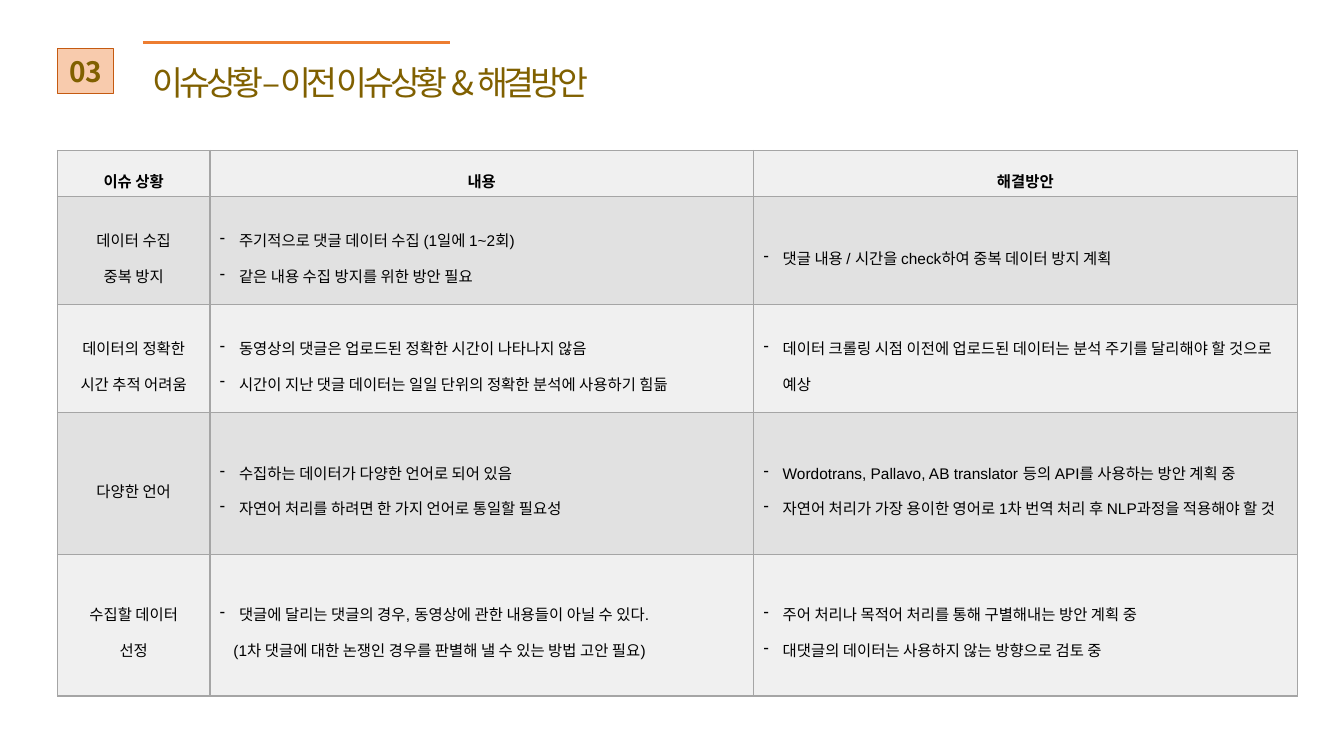
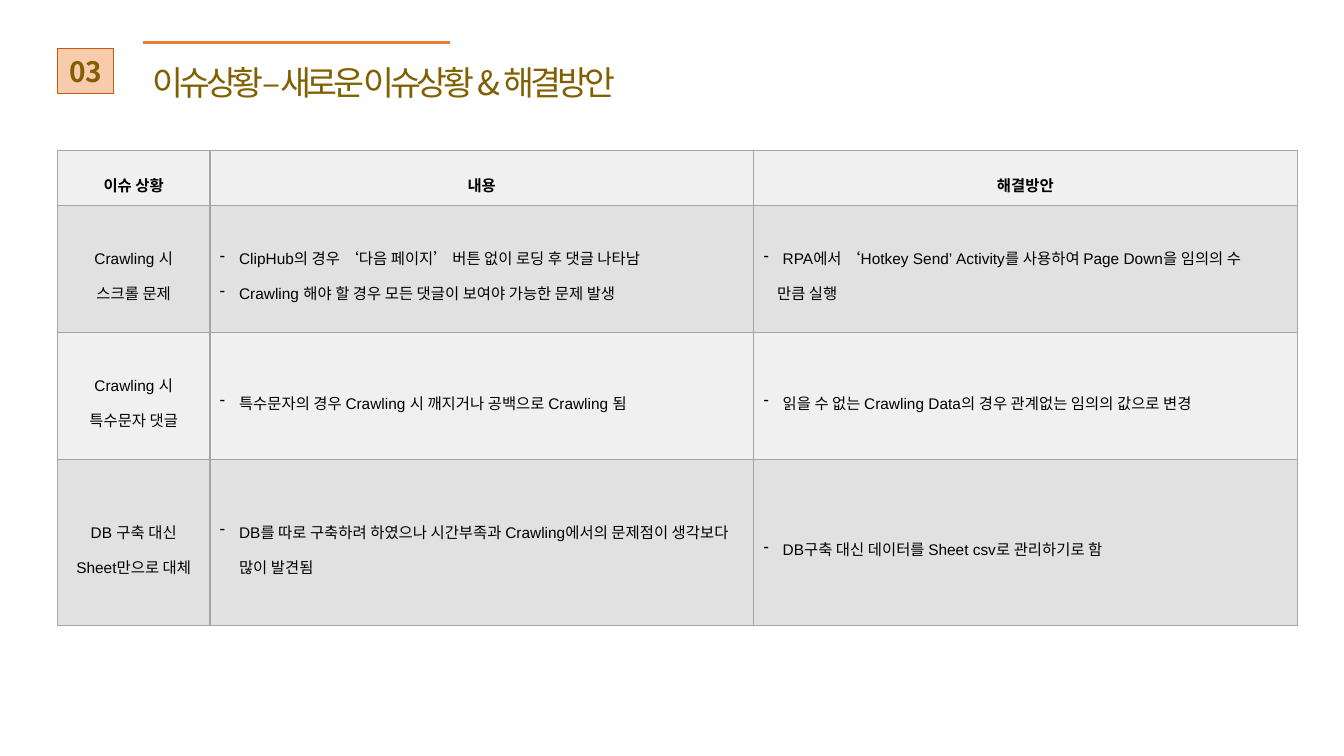
from dataclasses import dataclass

from lxml import etree
from pptx import Presentation
from pptx import util as u
from pptx.dml import color
from pptx.enum import shapes, text
from pptx.oxml import ns

HANGUL_FONT = "Noto Sans CJK KR"
TABLE_FONT = "Arial"
OLIVE = "806000"
ORANGE = "ED7D31"
PEACH = "F8CBAD"
RUST = "C55A11"
BLACK = "000000"
BORDER = "A5A5A5"
BANDS = ("F0F0F0", "E1E1E1")

LEFT = 1.45
TITLE_LEFT = 3.6
TABLE_TOP = 3.79
COLUMN_WIDTHS = (3.84, 13.7, 13.7)
HANGING = 0.48
CONTINUED_INDENT = 0.34
HEADINGS = ("이슈 상황", "내용", "해결방안")


@dataclass(frozen=True)
class Line:
    words: str
    bullet: bool = True


@dataclass(frozen=True)
class Issue:
    height: float
    name: tuple[str, ...]
    details: tuple[Line, ...]
    remedies: tuple[Line, ...]


@dataclass(frozen=True)
class IssuePage:
    title: str
    header_height: float
    issues: tuple[Issue, ...]


PAGES = (
    IssuePage("이슈상황 – 이전 이슈상황 & 해결방안", 1.17, (
        Issue(2.72, ("데이터 수집", "중복 방지"),
              (Line("주기적으로 댓글 데이터 수집 (1일에 1~2회)"),
               Line("같은 내용 수집 방지를 위한 방안 필요")),
              (Line("댓글 내용 / 시간을 check하여 중복 데이터 방지 계획"),)),
        Issue(2.72, ("데이터의 정확한", "시간 추적 어려움"),
              (Line("동영상의 댓글은 업로드된 정확한 시간이 나타나지 않음"),
               Line("시간이 지난 댓글 데이터는 일일 단위의 정확한 분석에 사용하기 힘듦")),
              (Line("데이터 크롤링 시점 이전에 업로드된 데이터는 분석 주기를 달리해야 할 것으로 예상"),)),
        Issue(3.57, ("다양한 언어",),
              (Line("수집하는 데이터가 다양한 언어로 되어 있음"),
               Line("자연어 처리를 하려면 한 가지 언어로 통일할 필요성")),
              (Line("Wordotrans, Pallavo, AB translator 등의 API를 사용하는 방안 계획 중"),
               Line("자연어 처리가 가장 용이한 영어로 1차 번역 처리 후 NLP과정을 적용해야 할 것"))),
        Issue(3.57, ("수집할 데이터", "선정"),
              (Line("댓글에 달리는 댓글의 경우, 동영상에 관한 내용들이 아닐 수 있다."),
               Line("(1차 댓글에 대한 논쟁인 경우를 판별해 낼 수 있는 방법 고안 필요)", False)),
              (Line("주어 처리나 목적어 처리를 통해 구별해내는 방안 계획 중"),
               Line("대댓글의 데이터는 사용하지 않는 방향으로 검토 중"))),
    )),
    IssuePage("이슈상황 – 새로운 이슈상황 & 해결방안", 1.38, (
        Issue(3.2, ("Crawling 시", "스크롤 문제"),
              (Line("ClipHub의 경우 ‘다음 페이지’ 버튼 없이 로딩 후 댓글 나타남"),
               Line("Crawling 해야 할 경우 모든 댓글이 보여야 가능한 문제 발생")),
              (Line("RPA에서 ‘Hotkey Send’ Activity를 사용하여 Page Down을 임의의 수"),
               Line("만큼 실행", False))),
        Issue(3.2, ("Crawling 시", "특수문자 댓글"),
              (Line("특수문자의 경우 Crawling 시 깨지거나 공백으로 Crawling 됨"),),
              (Line("읽을 수 없는 Crawling Data의 경우 관계없는 임의의 값으로 변경"),)),
        Issue(4.2, ("DB 구축 대신", "Sheet만으로 대체"),
              (Line("DB를 따로 구축하려 하였으나 시간부족과 Crawling에서의 문제점이 생각보다 많이 발견됨"),),
              (Line("DB구축 대신 데이터를 Sheet csv로 관리하기로 함"),)),
    )),
)


def rgb(value: str) -> color.RGBColor:
    return color.RGBColor.from_string(value)


def add_child(parent, tag: str, **attributes: str):
    return etree.SubElement(parent, ns.qn(tag), attributes)


def write(para, words: str, *, size: float, font: str = HANGUL_FONT, ink: str = OLIVE,
          bold: bool = False, centered: bool = False, tracking: float = 0) -> None:
    para.alignment = text.PP_ALIGN.CENTER if centered else text.PP_ALIGN.LEFT
    span = para.add_run()
    span.text = words
    span.font.size = u.Pt(size)
    span.font.bold = bold
    span.font.color.rgb = rgb(ink)
    span.font.name = font
    properties = span.font._element
    add_child(properties, "a:ea", typeface=HANGUL_FONT)
    if tracking:
        properties.set("spc", str(round(tracking * 100)))


def indent(para, line: Line) -> None:
    properties = para._p.get_or_add_pPr()
    margin = HANGING if line.bullet else CONTINUED_INDENT
    properties.set("marL", str(u.Cm(margin)))
    properties.set("indent", str(-u.Cm(HANGING) if line.bullet else 0))
    if line.bullet:
        add_child(properties, "a:buChar", char="-")


def style_cell(cell, fill: str) -> None:
    properties = cell._tc.get_or_add_tcPr()
    for side in ("a:lnL", "a:lnR", "a:lnT", "a:lnB"):
        edge = add_child(properties, side, w=str(u.Pt(1)))
        add_child(add_child(edge, "a:solidFill"), "a:srgbClr", val=BORDER)
    cell.fill.solid()
    cell.fill.fore_color.rgb = rgb(fill)
    cell.vertical_anchor = text.MSO_ANCHOR.MIDDLE


def fill_cell(cell, lines: tuple[Line, ...], *, fill: str, bold: bool = False,
              centered: bool = False) -> None:
    style_cell(cell, fill)
    frame = cell.text_frame
    for index, line in enumerate(lines):
        para = frame.add_paragraph() if index else frame.paragraphs[0]
        if not centered:
            indent(para, line)
        para.line_spacing = 1.6
        write(para, line.words, size=11, font=TABLE_FONT, ink=BLACK, bold=bold,
              centered=centered)


def add_heading(page, title: str) -> None:
    rule = page.shapes.add_connector(shapes.MSO_CONNECTOR.STRAIGHT, u.Cm(TITLE_LEFT),
                                     u.Cm(1.07), u.Cm(11.33), u.Cm(1.07))
    rule.line.color.rgb = rgb(ORANGE)
    rule.line.width = u.Pt(2.25)
    add_child(rule._element.spPr, "a:effectLst")

    box = page.shapes.add_textbox(u.Cm(TITLE_LEFT), u.Cm(1.42), u.Cm(14), u.Cm(1.28))
    box.text_frame.word_wrap = True
    box.text_frame.vertical_anchor = text.MSO_ANCHOR.MIDDLE
    write(box.text_frame.paragraphs[0], title, size=24, tracking=-3)

    badge = page.shapes.add_shape(shapes.MSO_SHAPE.RECTANGLE, u.Cm(LEFT), u.Cm(1.22),
                                  u.Cm(1.42), u.Cm(1.13))
    badge.shadow.inherit = False
    badge.fill.solid()
    badge.fill.fore_color.rgb = rgb(PEACH)
    badge.line.color.rgb = rgb(RUST)
    badge.line.width = u.Pt(0.75)
    badge.text_frame.vertical_anchor = text.MSO_ANCHOR.MIDDLE
    write(badge.text_frame.paragraphs[0], "03", size=20, bold=True, centered=True)


def add_issue_table(page, content: IssuePage) -> None:
    heights = [content.header_height, *(issue.height for issue in content.issues)]
    table = page.shapes.add_table(len(heights), len(COLUMN_WIDTHS), u.Cm(LEFT), u.Cm(TABLE_TOP),
                                  u.Cm(sum(COLUMN_WIDTHS)), u.Cm(sum(heights))).table
    table.horz_banding = False
    for column, width in zip(table.columns, COLUMN_WIDTHS):
        column.width = u.Cm(width)
    for row, height in zip(table.rows, heights):
        row.height = u.Cm(height)
    for column, heading in enumerate(HEADINGS):
        fill_cell(table.cell(0, column), (Line(heading),), fill=BANDS[0], bold=True,
                  centered=True)
    for row, issue in enumerate(content.issues, start=1):
        names = tuple(Line(words) for words in issue.name)
        for column, lines in enumerate((names, issue.details, issue.remedies)):
            fill_cell(table.cell(row, column), lines, fill=BANDS[row % 2],
                      centered=column == 0)


def main() -> None:
    deck = Presentation()
    deck.slide_width = u.Cm(33.87)
    deck.slide_height = u.Cm(19.05)
    for content in PAGES:
        page = deck.slides.add_slide(deck.slide_layouts[6])
        add_heading(page, content.title)
        add_issue_table(page, content)
    deck.save("out.pptx")


if __name__ == "__main__":
    main()
